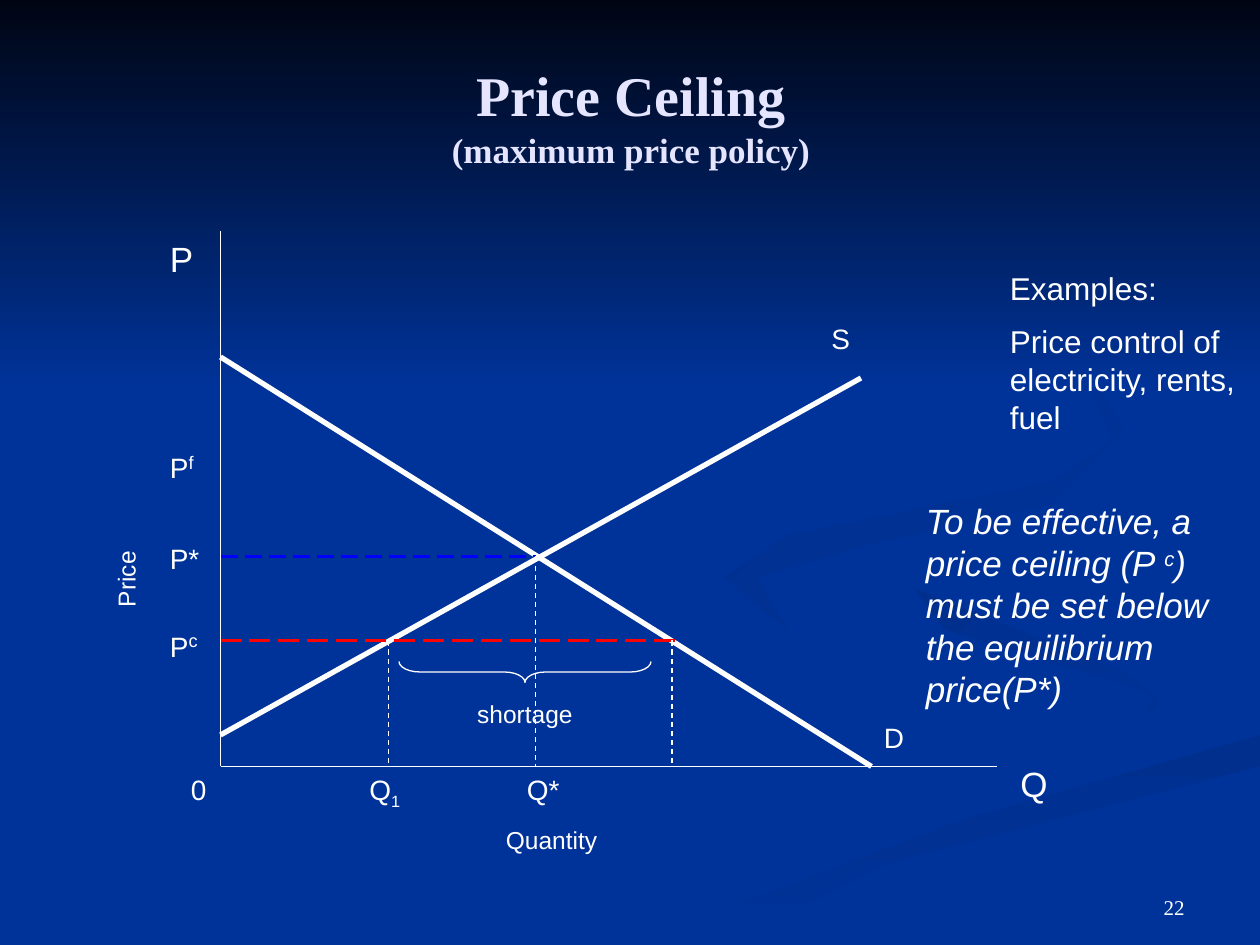
from dataclasses import dataclass

from pptx import Presentation
from pptx.dml.color import RGBColor
from pptx.enum.dml import MSO_LINE
from pptx.enum.shapes import MSO_CONNECTOR, MSO_SHAPE
from pptx.enum.text import MSO_ANCHOR, MSO_AUTO_SIZE, PP_ALIGN
from pptx.oxml.ns import qn
from pptx.util import Inches, Pt

CELL = 1 / 12  # the slide is a grid of 120 columns by 90 rows


@dataclass(frozen=True)
class Theme:
    blue: str = "003399"
    shade: str = "002F8E"
    night: str = "000514"
    title_color: str = "E5E5FF"
    ink: str = "FFFFFF"
    equilibrium: str = "0000FF"
    ceiling: str = "FF0000"
    sans: str = "Arial"
    serif: str = "Times New Roman"
    title: int = 32
    big: int = 20
    body: int = 18
    label: int = 16
    small: int = 14
    footer: int = 12
    thin: float = 0.75
    thick: float = 3


THEME = Theme()

# Outlines of the background swirls, in columns and rows
LOWER_BAND = [(60, 90), (69, 90), (85, 82), (120, 73), (120, 70), (92, 78)]
LOWER_LOOP = [(87, 56), (90, 60), (110, 66), (107, 73), (113, 69), (107, 64)]
UPPER_LOOP = [(82, 52), (100, 48), (107, 41), (103, 34), (91, 28), (103, 35),
              (106, 42), (100, 46), (75, 51), (69, 55), (75, 60), (72, 55)]


def color(code):
    return RGBColor.from_string(code)


def cells(*counts):
    return [Inches(count * CELL) for count in counts]


def paint_gradient(shape, start, angle):
    """Fade to the background blue; the angle runs clockwise from left to right."""
    shape.shadow.inherit = False
    shape.line.fill.background()
    shape.fill.gradient()
    shape.fill.gradient_angle = 360 - angle
    for stop, code in zip(shape.fill.gradient_stops, (start, THEME.blue)):
        stop.color.rgb = color(code)


def add_background(page):
    page.background.fill.solid()
    page.background.fill.fore_color.rgb = color(THEME.blue)
    for outline, angle in ((LOWER_LOOP, 45), (LOWER_BAND, 90), (UPPER_LOOP, 45)):
        builder = page.shapes.build_freeform(*outline[0], scale=Inches(CELL))
        builder.add_line_segments(outline[1:], close=True)
        paint_gradient(builder.convert_to_shape(), THEME.shade, angle)
    sky = page.shapes.add_shape(MSO_SHAPE.RECTANGLE, *cells(0, 0, 120, 37))
    paint_gradient(sky, THEME.night, 90)


def add_line(page, start, end, width=THEME.thin, code=THEME.ink, dash=None):
    line = page.shapes.add_connector(MSO_CONNECTOR.STRAIGHT, *cells(*start, *end))
    line.line.width = Pt(width)
    line.line.color.rgb = color(code)
    if dash:
        line.line.dash_style = dash
    properties = line._element.spPr
    properties.append(properties.makeelement(qn("a:effectLst"), {}))


def add_span(para, text, size, font=THEME.sans, code=THEME.ink):
    span = para.add_run()
    span.text = text
    span.font.size = Pt(size)
    span.font.name = font
    span.font.color.rgb = color(code)
    return span


def add_raised(para, text, size, percent=30):
    """Add a superscript, or a subscript when the percentage is negative."""
    span = add_span(para, text, size)
    span.font._element.set("baseline", str(percent * 1000))
    return span


def add_text(page, area, lines, size, font=THEME.sans, align=PP_ALIGN.LEFT):
    box = page.shapes.add_textbox(*cells(*area))
    frame = box.text_frame
    frame.word_wrap = True
    for index, text in enumerate(lines):
        para = frame.add_paragraph() if index else frame.paragraphs[0]
        para.alignment = align
        if index:
            para.space_before = Pt(size / 2)
        add_span(para, text, size, font)
    return box


def add_label(page, column, row, text, size=THEME.label, width=6):
    box = add_text(page, (column, row, width, 4.4), [text], size)
    box.text_frame.auto_size = MSO_AUTO_SIZE.SHAPE_TO_FIT_TEXT
    return box.text_frame.paragraphs[0]


def add_title(page):
    box = page.shapes.add_textbox(*cells(7.9, 4.6, 104.4, 12.8))
    box.text_frame.word_wrap = True
    box.text_frame.vertical_anchor = MSO_ANCHOR.MIDDLE
    para = box.text_frame.paragraphs[0]
    para.alignment = PP_ALIGN.CENTER
    for text, size in (("Price Ceiling", THEME.title), ("(maximum price policy)", THEME.big)):
        if para.runs:
            para.add_line_break()
        span = add_span(para, text, size, THEME.serif, THEME.title_color)
        span.font.bold = True


def add_curves(page):
    left, bottom, ceiling, equilibrium = 21, 73, 61, 53
    add_line(page, (left, 22), (left, bottom))
    add_line(page, (left, bottom), (95, bottom))
    add_line(page, (left, 34), (83, bottom), THEME.thick)
    add_line(page, (left, equilibrium), (51, equilibrium), 1.25,
             THEME.equilibrium, MSO_LINE.LONG_DASH)
    add_line(page, (left, 70), (82, 36), THEME.thick)
    add_line(page, (left, ceiling), (65, ceiling), 1.5, THEME.ceiling, MSO_LINE.LONG_DASH)
    for column, row in ((51, equilibrium), (37, ceiling), (64, ceiling)):
        add_line(page, (column, row), (column, bottom), dash=MSO_LINE.DASH)


def add_shortage_brace(page):
    brace = page.shapes.add_shape(MSO_SHAPE.RIGHT_BRACE, *cells(49, 52, 2, 24))
    brace.rotation = 90
    brace.adjustments[0] = 1
    brace.adjustments[1] = 0.5
    brace.shadow.inherit = False
    brace.fill.background()
    brace.line.color.rgb = color(THEME.ink)
    brace.line.width = Pt(THEME.thin)
    add_text(page, (38, 66, 24, 4), ["shortage"], THEME.small, align=PP_ALIGN.CENTER)


def add_labels(page):
    add_label(page, 15, 22, "P", THEME.big)
    add_label(page, 96, 72, "Q", THEME.big)
    for row, mark in ((42, "f"), (59, "c")):
        add_raised(add_label(page, 15, row, "P"), mark, THEME.body)
    add_raised(add_label(page, 34, 73, "Q"), "1", THEME.label, -25)
    add_label(page, 15, 51, "P*")
    add_label(page, 17, 73, "0", width=4)
    add_label(page, 49, 73, "Q*")
    add_label(page, 78, 30, "S", width=7)
    add_label(page, 83, 68, "D")
    add_label(page, 47, 78, "Quantity", THEME.small, width=17)
    price = add_text(page, (10, 40, 5.2, 19), ["Price"], THEME.small)
    price.rotation = 180
    price.text_frame._txBody.bodyPr.set("vert", "eaVert")


def add_notes(page):
    add_text(page, (95, 25, 25, 17.5),
             ["Examples:", "Price control of electricity, rents, fuel"], THEME.body)
    rule = add_text(page, (87, 47, 31, 21.4), ["To be effective, a price ceiling (P "], THEME.big)
    para = rule.text_frame.paragraphs[0]
    add_raised(para, "c", THEME.big)
    add_span(para, ") must be set below the equilibrium price(P*)", THEME.big)
    for span in para.runs:
        span.font.italic = True
    number = add_text(page, (86, 82, 28, 6.2), ["22"], THEME.footer,
                      THEME.serif, PP_ALIGN.RIGHT)
    number.text_frame.vertical_anchor = MSO_ANCHOR.BOTTOM


def main():
    deck = Presentation()
    deck.slide_width, deck.slide_height = cells(120, 90)
    page = deck.slides.add_slide(deck.slide_layouts[6])
    add_background(page)
    add_title(page)
    add_curves(page)
    add_labels(page)
    add_shortage_brace(page)
    add_notes(page)
    deck.save("out.pptx")


if __name__ == "__main__":
    main()
